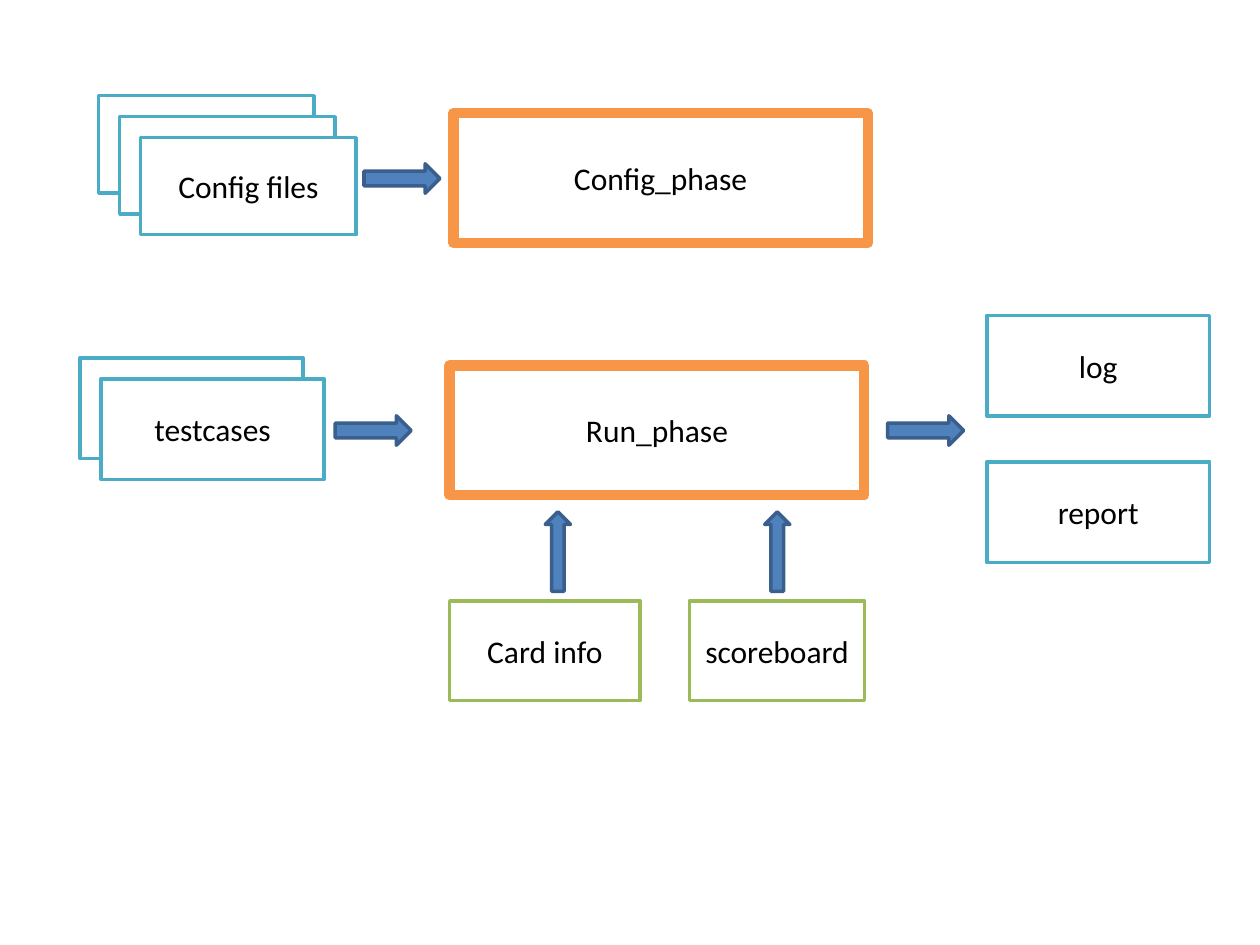
import pptx
import pptx.util
import pptx.dml.color
import pptx.enum.shapes
import pptx.enum.text

Pt = pptx.util.Pt
SHAPES = pptx.enum.shapes.MSO_SHAPE
COLORS = {
    "paper": "FFFFFF",
    "text": "000000",
    "phase": "F79646",
    "file": "4BACC6",
    "helper": "9BBB59",
    "arrow": "4F81BD",
    "arrow_edge": "3A5F8C",
}
STACK_STEP = 12


def color(name):
    return pptx.dml.color.RGBColor.from_string(COLORS[name])


def add_figure(page, kind, left, top, width, height, fill, edge, weight=2):
    figure = page.shapes.add_shape(kind, Pt(left), Pt(top), Pt(width), Pt(height))
    figure.shadow.inherit = False
    figure.fill.solid()
    figure.fill.fore_color.rgb = color(fill)
    figure.line.color.rgb = color(edge)
    figure.line.width = Pt(weight)
    return figure


def set_text(box, text, size=18, font="Calibri", ink="text"):
    frame = box.text_frame
    frame.word_wrap = True
    frame.vertical_anchor = pptx.enum.text.MSO_ANCHOR.MIDDLE
    para = frame.paragraphs[0]
    para.alignment = pptx.enum.text.PP_ALIGN.CENTER
    span = para.add_run()
    span.text = text
    span.font.size = Pt(size)
    span.font.name = font
    span.font.color.rgb = color(ink)


def add_box(page, text, left, top, width, height, edge, weight=2):
    box = add_figure(page, SHAPES.RECTANGLE, left, top, width, height,
                     "paper", edge, weight)
    if text:
        set_text(box, text)


def add_stack(page, text, count, left, top, width, height):
    for index in range(count):
        offset = index * STACK_STEP
        label = text if index == count - 1 else ""
        add_box(page, label, left + offset, top + offset, width, height, "file")


def add_phase(page, text, left, top):
    add_box(page, text, left, top, 236.9, 74.2, "phase", weight=6)


def add_right_arrow(page, left, top):
    add_figure(page, SHAPES.RIGHT_ARROW, left, top, 43.4, 16.8, "arrow", "arrow_edge")


def add_up_arrow(page, left, top):
    add_figure(page, SHAPES.UP_ARROW, left, top, 14.4, 45.4, "arrow", "arrow_edge")


def main():
    deck = pptx.Presentation()
    deck.slide_width, deck.slide_height = Pt(720), Pt(540)
    page = deck.slides.add_slide(deck.slide_layouts[6])

    add_stack(page, "Config files", 3, 56.4, 54.7, 123.2, 55.5)
    add_right_arrow(page, 208, 93.6)
    add_phase(page, "Config_phase", 259, 64.7)

    add_stack(page, "testcases", 2, 45.8, 204.5, 127.4, 57.6)
    add_phase(page, "Run_phase", 257, 208.8)
    for left in (191.5, 507.2):
        add_right_arrow(page, left, 237.6)

    for text, left, width, arrow_left in (
        ("Card info", 257, 108.7, 311.6),
        ("scoreboard", 393.9, 100.2, 437),
    ):
        add_box(page, text, left, 343.4, width, 56.9, "helper")
        add_up_arrow(page, arrow_left, 292.5)

    for text, top in (("log", 180.2), ("report", 263.9)):
        add_box(page, text, 563.9, top, 127.4, 57.6, "file")

    deck.save("out.pptx")


main()
